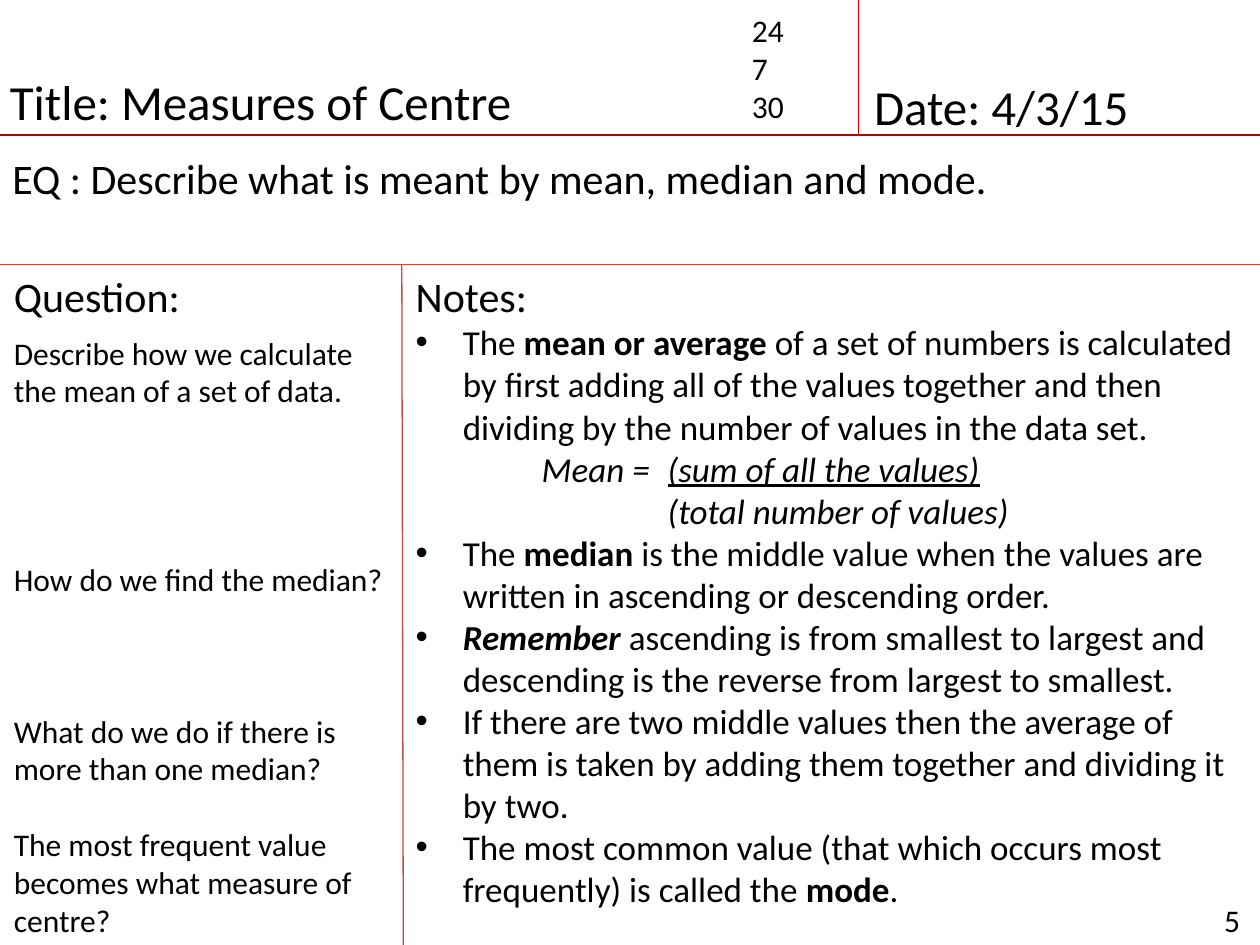
import dataclasses

import lxml.etree
import pptx
import pptx.dml.color
import pptx.enum.shapes
import pptx.enum.text
import pptx.oxml.ns
import pptx.util

Cm = pptx.util.Cm
Pt = pptx.util.Pt


@dataclasses.dataclass(frozen=True)
class Theme:
    font: str = "Calibri"
    ink: str = "000000"
    red: str = "C00000"
    rose: str = "BF4C48"
    rule: float = 0.75
    title: int = 28
    head: int = 24
    note: int = 20
    small: int = 18


WIDE, HIGH = 25.4, 19.05
TOP, MID = 2.72, 5.33
SPLIT, EDGE = 8.13, 17.3
TAB = 2.54
HANG = 0.95
LEAD = 21.6  # height in points of one line of small text


def sub(node, tag, **attrs):
    return lxml.etree.SubElement(node, pptx.oxml.ns.qn(tag), **attrs)


def write(para, text, **form):
    """Add one run; form holds font attributes such as bold or size."""
    run = para.add_run()
    run.text = text
    for key, val in form.items():
        setattr(run.font, key, val)


class Page:
    def __init__(self, slide, theme):
        self.slide = slide
        self.theme = theme

    def line(self, x1, y1, x2, y2, tint):
        kind = pptx.enum.shapes.MSO_CONNECTOR.STRAIGHT
        rule = self.slide.shapes.add_connector(kind, Cm(x1), Cm(y1), Cm(x2), Cm(y2))
        rule.line.color.rgb = pptx.dml.color.RGBColor.from_string(tint)
        rule.line.width = Pt(self.theme.rule)
        sub(rule._element.spPr, "a:effectLst")

    def box(self, x, y, w, h):
        frame = self.slide.shapes.add_textbox(Cm(x), Cm(y), Cm(w), Cm(h)).text_frame
        frame.word_wrap = True
        frame.auto_size = pptx.enum.text.MSO_AUTO_SIZE.SHAPE_TO_FIT_TEXT
        return frame

    def para(self, frame, parts, size, gap=0, dot=False, left=0, tabs=()):
        """Fill the empty first paragraph or add one; parts are (text, form) pairs."""
        first = frame.paragraphs[0]
        para = frame.add_paragraph() if first.runs else first
        props = para._p.get_or_add_pPr()
        if dot:
            props.set("marL", str(Cm(HANG)))
            props.set("indent", str(-Cm(HANG)))
            sub(props, "a:buFont", typeface="Arial")
            sub(props, "a:buChar", char="•")
        elif left:
            props.set("marL", str(Cm(left)))
        if tabs:
            stops = sub(props, "a:tabLst")
            for stop in tabs:
                sub(stops, "a:tab", pos=str(Cm(stop)), algn="l")
        if gap:
            para.space_before = Pt(gap)
        para.font.size = Pt(size)
        tint = pptx.dml.color.RGBColor.from_string(self.theme.ink)
        for text, form in parts:
            write(para, text, name=self.theme.font, size=Pt(size), **form)
            para.runs[-1].font.color.rgb = tint

    def label(self, text, size, *area):
        frame = self.box(*area)
        for row in text.split("\n"):
            self.para(frame, [(row, {})], size)


def main():
    deck = pptx.Presentation()
    deck.slide_width, deck.slide_height = Cm(WIDE), Cm(HIGH)
    theme = Theme()
    page = Page(deck.slides.add_slide(deck.slide_layouts[6]), theme)
    plain, bold, slant = {}, {"bold": True}, {"italic": True}

    page.label("5", theme.small, 24.43, 18.03, 0.97, 1.02)
    page.line(0, TOP, WIDE, TOP, theme.red)
    page.line(0, MID, WIDE, MID, theme.rose)
    page.line(SPLIT - 0.03, MID, SPLIT, HIGH, theme.rose)
    page.label("Title: Measures of Centre", theme.title, -0.05, 1.32, 20.68, 1.45)
    page.label("Date: 4/3/15", theme.title, 17.37, 1.42, 6.93, 1.45)
    page.label("EQ : Describe what is meant by mean, median and mode.",
               theme.head, 0, 2.95, 24.28, 1.27)
    page.line(EDGE, 0, EDGE, TOP, theme.red)
    page.label("Question:", theme.head, 0.03, MID, 8.1, 1.27)

    notes = page.box(SPLIT, MID, WIDE - SPLIT, 15.14)
    page.para(notes, [("Notes:", plain)], theme.head)
    rows = [
        ([("The ", plain), ("mean or average ", bold),
          ("of a set of numbers is calculated by first adding all of the values "
           "together and then dividing by the number of values in the data set.",
           plain)], {"dot": True}),
        ([("\tMean = \t", slant),
          ("(sum of all the values)", {"italic": True, "underline": True})],
         {"tabs": (TAB, 2 * TAB)}),
        ([("(total number of values)", slant)], {"left": 2 * TAB}),
        ([("The ", plain), ("median ", bold),
          ("is the middle value when the values are written in ascending or "
           "descending order.", plain)], {"dot": True}),
        ([("Remember", {"bold": True, "italic": True}),
          (" ascending is from smallest to largest and descending is the reverse "
           "from largest to smallest.", plain)], {"dot": True}),
        ([("If there are two middle values then the average of them is taken by "
           "adding them together and dividing it by two.", plain)], {"dot": True}),
        ([("The most common value (that which occurs most frequently) is called "
           "the ", plain), ("mode", bold), (".", plain)], {"dot": True}),
    ]
    for parts, form in rows:
        page.para(notes, parts, theme.note, **form)

    asks = page.box(0.03, 6.6, 8.08, 12.57)
    for text, skip in [
        ("Describe how we calculate the mean of a set of data.", 0),
        ("How do we find the median?", 4),
        ("What do we do if there is more than one median?", 3),
        ("The most frequent value becomes what measure of centre?", 1),
    ]:
        page.para(asks, [(text, plain)], theme.small, gap=skip * LEAD)

    page.label("24\n7\n30", theme.small, 14.91, 0.1, 2.39, 2.57)
    deck.save("out.pptx")


if __name__ == "__main__":
    main()
